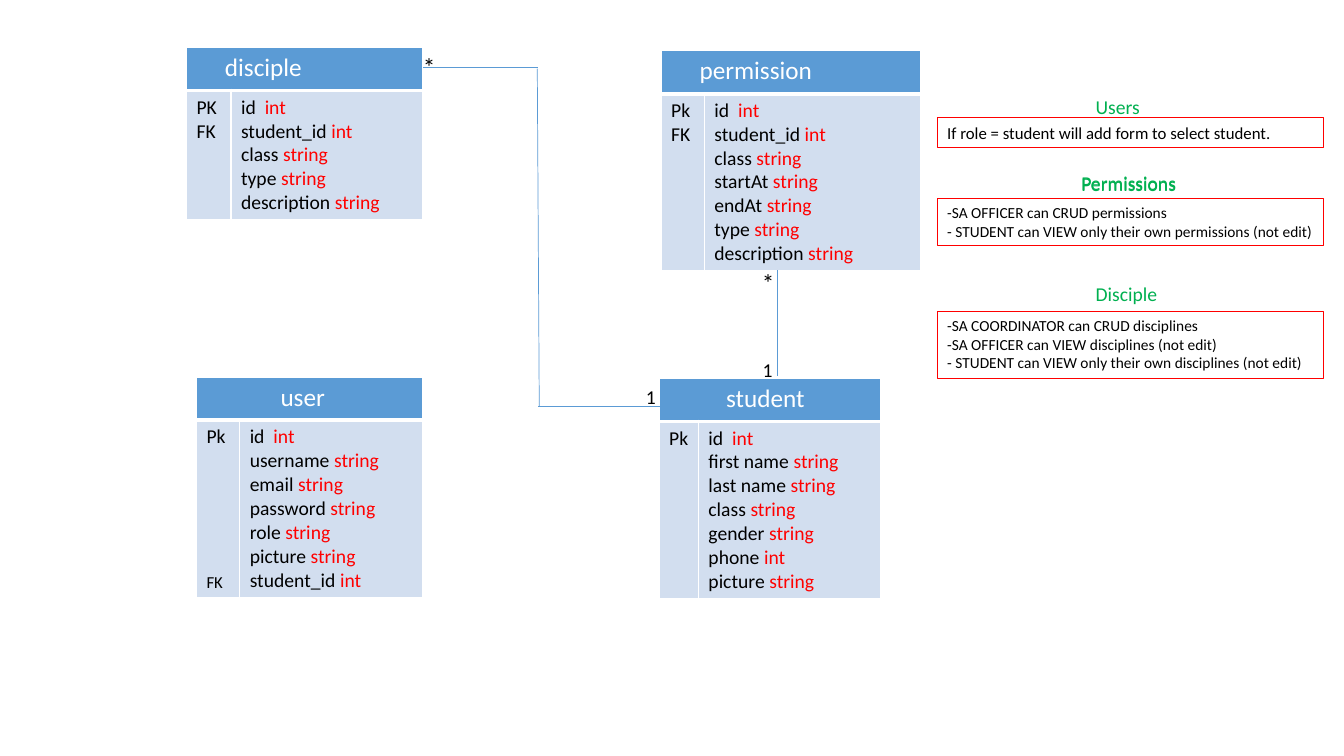
"""Build a slide with a database schema and its access rules."""
import dataclasses

import pptx
import pptx.dml.color
import pptx.enum.shapes
import pptx.enum.text
import pptx.oxml
import pptx.oxml.ns
import pptx.util
from pptx.util import Cm


@dataclasses.dataclass(frozen=True)
class Theme:
    """Colours, font and type sizes."""
    font: str = "Calibri"
    white: str = "FFFFFF"
    black: str = "000000"
    red: str = "FF0000"
    green: str = "00B050"
    blue: str = "5B9BD5"
    pale: str = "D2DEEF"
    header: int = 18
    body: int = 14
    small: int = 12
    rule: int = 11


THEME = Theme()
HEADER_HEIGHT = 1.09
KEY_SPACE = 87.8

ENTITIES = [
    dict(name="user", place=(4.95, 9.5), columns=(1.09, 4.6), height=5.51, indent=2.12,
         keys=[("Pk", THEME.body, 0), ("FK", THEME.small, KEY_SPACE)],
         fields=["id  int", "username string", "email string", "password string",
                 "role string", "picture string", "student_id int"]),
    dict(name="student", place=(16.61, 9.53), columns=(0.99, 4.6), height=5.51, indent=1.69,
         keys=[("Pk", THEME.body, 0)],
         fields=["id  int", "first name string", "last name string", "class string",
                 "gender string", "phone int", "picture string"]),
    dict(name="permission", place=(16.66, 1.27), columns=(1.09, 5.46), height=5.51, indent=0.97,
         keys=[("Pk", THEME.body, 0), ("FK", THEME.body, 0)],
         fields=["id  int", "student_id int", "class string", "startAt string",
                 "endAt string", "type string", "description string"]),
    dict(name="disciple", place=(4.7, 1.19), columns=(1.12, 4.84), height=4.32, indent=0.97,
         keys=[("PK", THEME.body, 0), ("FK", THEME.body, 0)],
         fields=["id  int", "student_id int", "class string", "type string",
                 "description string"]),
]

RULES = [
    (2.97, 0.76, THEME.small, ["If role = student will add form to select student."]),
    (5.0, 1.19, THEME.rule, ["-SA OFFICER can CRUD permissions",
                             "- STUDENT can VIEW only their own permissions (not edit)"]),
    (7.85, 1.68, THEME.rule, ["-SA COORDINATOR can CRUD disciplines",
                              "-SA OFFICER can VIEW disciplines (not edit)",
                              "- STUDENT can VIEW only their own disciplines (not edit)"]),
]

HEADINGS = [
    ("Users", 27.36, 2.26, 2.24),
    ("Permissions", 27.0, 4.22, 3.53),
    ("Permissions", 27.0, 4.19, 3.53),
    ("Disciple", 27.36, 6.99, 2.64),
]

MULTIPLICITIES = [
    ("1", 18.97, 8.89, THEME.body),
    ("*", 18.95, 6.6, THEME.header),
    ("*", 10.41, 1.17, THEME.header),
    ("1", 16.03, 9.58, THEME.body),
]

RELATIONS = [
    (19.58, 6.81, 19.58, 9.47),
    (10.67, 1.7, 13.56, 1.7),
    (13.56, 10.24, 16.66, 10.24),
    (13.54, 1.73, 13.59, 10.24),
]


def colour(value):
    """Return a hex string as a colour object."""
    return pptx.dml.color.RGBColor.from_string(value)


def set_format(target, values):
    """Set every attribute in a dict of format values."""
    for name, value in values.items():
        setattr(target, name, value)


def add_span(para, text, size, ink):
    """Add one formatted run to a paragraph."""
    span = para.add_run()
    span.text = text
    set_format(span.font, {"name": THEME.font, "size": pptx.util.Pt(size), "bold": False})
    span.font.color.rgb = colour(ink)


def write_lines(frame, lines):
    """Fill a text frame with paragraphs of (spans, space before)."""
    for index, (spans, space) in enumerate(lines):
        para = frame.paragraphs[0] if index == 0 else frame.add_paragraph()
        para.space_before = pptx.util.Pt(space)
        for text, size, ink in spans:
            add_span(para, text, size, ink)


def style_cell(cell, fill, top, bottom):
    """Give a cell its fill and white borders."""
    cell.fill.solid()
    cell.fill.fore_color.rgb = colour(fill)
    properties = cell._tc.get_or_add_tcPr()
    for index, (side, width) in enumerate([("L", 1), ("R", 1), ("T", top), ("B", bottom)]):
        border = pptx.oxml.parse_xml(
            f'<a:ln{side} {pptx.oxml.ns.nsdecls("a")} w="{pptx.util.Pt(width)}"><a:solidFill>'
            f'<a:srgbClr val="{THEME.white}"/></a:solidFill></a:ln{side}>')
        properties.insert(index, border)


def field_spans(field):
    """Split a field into a black name and a red type."""
    name, gap, kind = field.rpartition(" ")
    return [(name + gap, THEME.body, THEME.black), (kind, THEME.body, THEME.red)]


def add_entity(page, name, place, columns, height, indent, keys, fields):
    """Add a database table with a header, keys and typed fields."""
    left, top = place
    frame = page.shapes.add_table(2, 2, Cm(left), Cm(top), Cm(sum(columns)), Cm(height))
    table = frame.table
    set_format(table, {"first_row": False, "horz_banding": False})
    for column, width in zip(table.columns, columns):
        column.width = Cm(width)
    for row, size in zip(table.rows, (HEADER_HEIGHT, height - HEADER_HEIGHT)):
        row.height = Cm(size)
    for column in range(2):
        style_cell(table.cell(0, column), THEME.blue, 1, 3)
        style_cell(table.cell(1, column), THEME.pale, 3, 1)
    header = table.cell(0, 0)
    header.merge(table.cell(0, 1))
    header.margin_left = Cm(indent)
    write_lines(header.text_frame, [([(name, THEME.header, THEME.white)], 0)])
    write_lines(table.cell(1, 0).text_frame,
                [([(key, size, THEME.black)], space) for key, size, space in keys])
    write_lines(table.cell(1, 1).text_frame, [(field_spans(field), 0) for field in fields])


def add_label(page, text, left, top, width, size, ink):
    """Add a one-line text box."""
    box = page.shapes.add_textbox(Cm(left), Cm(top), Cm(width), Cm(0.86))
    box.text_frame.word_wrap = True
    write_lines(box.text_frame, [([(text, size, ink)], 0)])


def add_rule(page, top, height, size, lines):
    """Add a red-framed box of access rules."""
    box = page.shapes.add_shape(pptx.enum.shapes.MSO_SHAPE.RECTANGLE,
                                Cm(23.62), Cm(top), Cm(9.73), Cm(height))
    box.shadow.inherit = False
    box.fill.background()
    box.line.color.rgb = colour(THEME.red)
    box.line.width = pptx.util.Pt(0.75)
    set_format(box.text_frame, {"word_wrap": True,
                                "vertical_anchor": pptx.enum.text.MSO_ANCHOR.TOP})
    write_lines(box.text_frame, [([(line, size, THEME.black)], 0) for line in lines])
    for para in box.text_frame.paragraphs:
        para.alignment = pptx.enum.text.PP_ALIGN.LEFT


def add_relation(page, ends):
    """Add one thin straight line of a relation."""
    line = page.shapes.add_connector(pptx.enum.shapes.MSO_CONNECTOR.STRAIGHT,
                                     *(Cm(value) for value in ends))
    line.line.color.rgb = colour(THEME.blue)
    line.line.width = pptx.util.Pt(0.5)
    effects = pptx.oxml.parse_xml(f'<a:effectLst {pptx.oxml.ns.nsdecls("a")}/>')
    line._element.spPr.append(effects)


def main():
    """Build and save the deck."""
    deck = pptx.Presentation()
    set_format(deck, {"slide_width": Cm(33.87), "slide_height": Cm(19.05)})
    page = deck.slides.add_slide(deck.slide_layouts.get_by_name("Blank"))
    for entity in ENTITIES:
        add_entity(page, **entity)
    for rule in RULES:
        add_rule(page, *rule)
    for heading in HEADINGS:
        add_label(page, *heading, THEME.body, THEME.green)
    for ends in RELATIONS:
        add_relation(page, ends)
    for text, left, top, size in MULTIPLICITIES:
        add_label(page, text, left, top, 1.42, size, THEME.black)
    deck.save("out.pptx")


if __name__ == "__main__":
    main()
